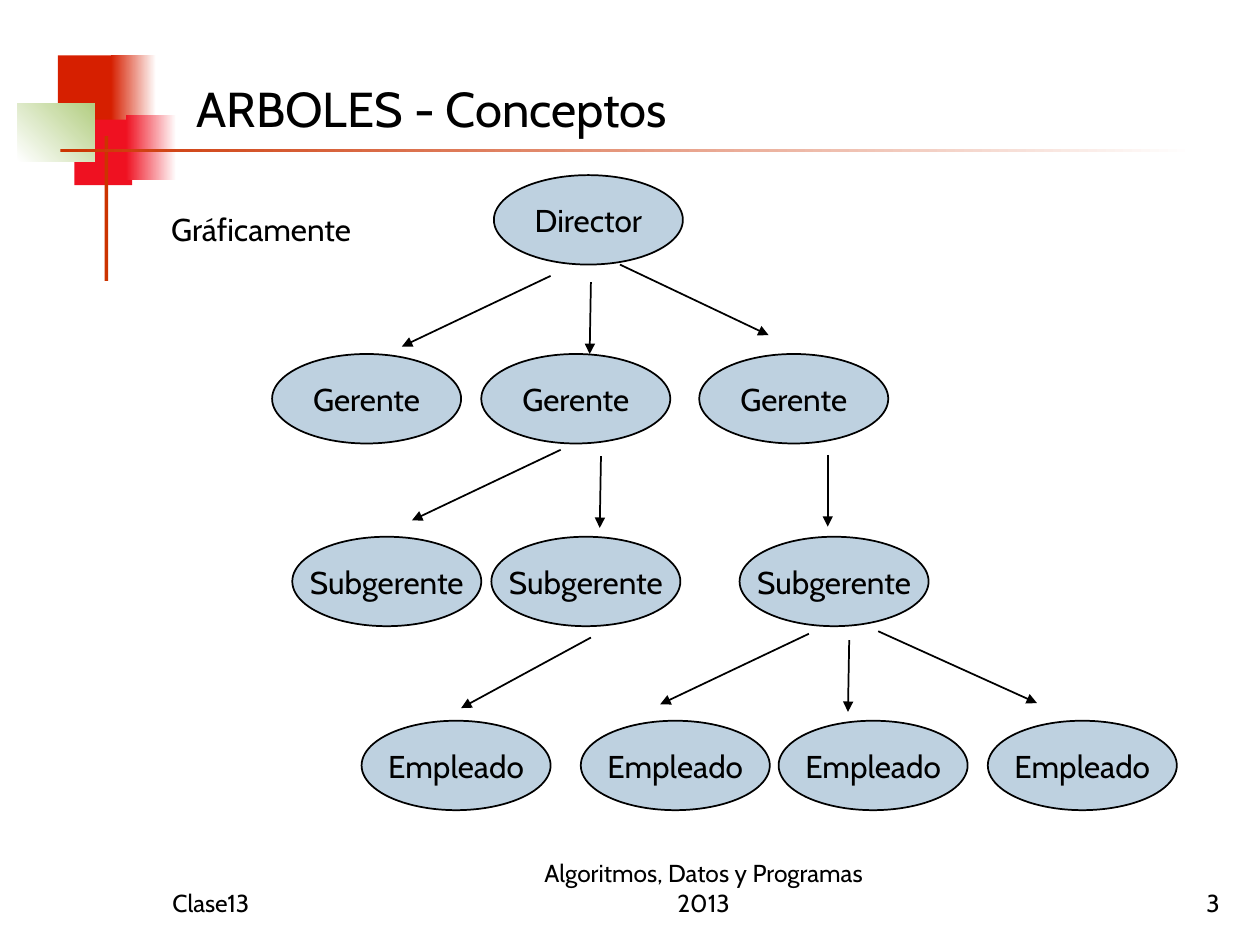
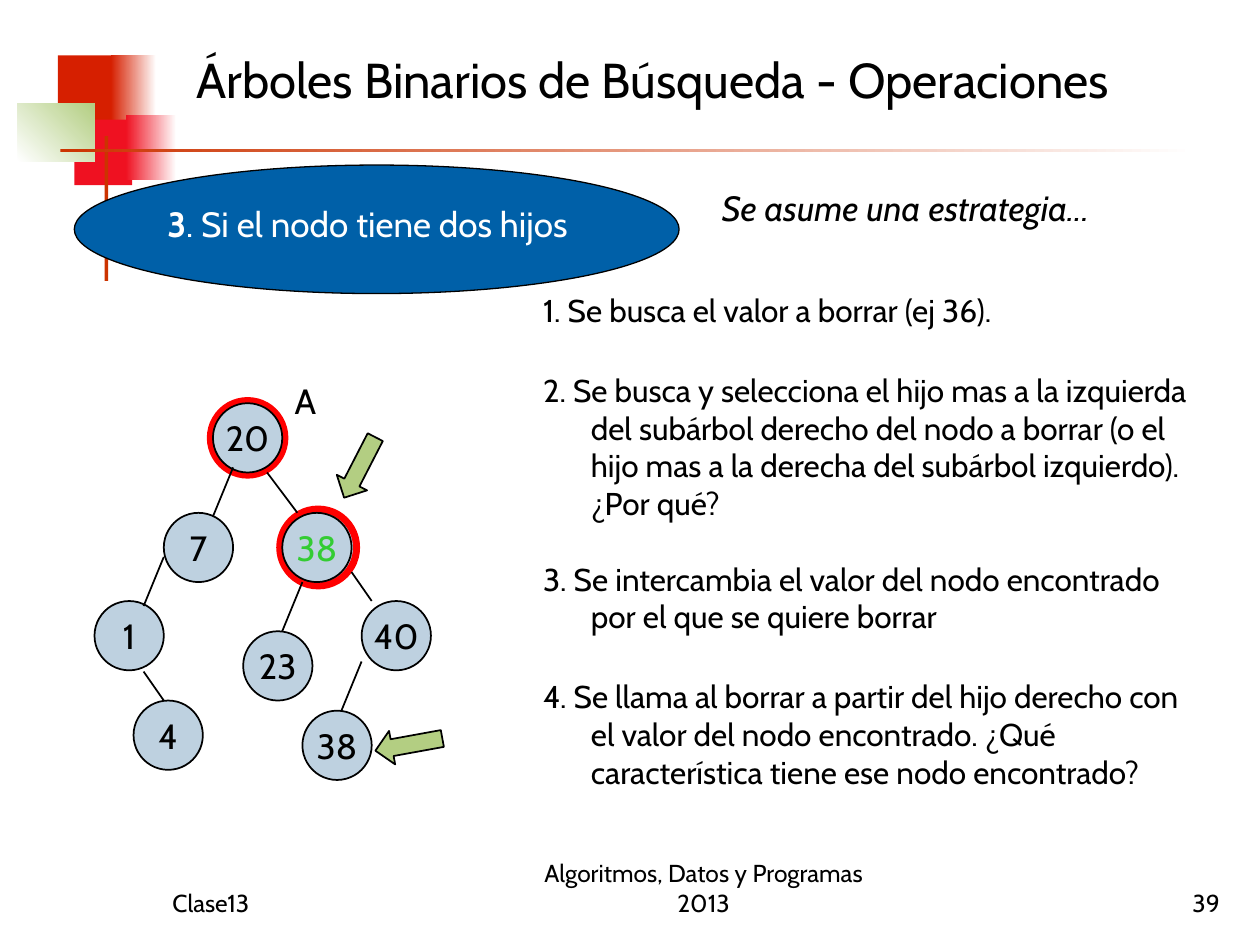
import pptx
import pptx.util
import pptx.dml.color
import pptx.enum.shapes
import pptx.enum.text
import pptx.oxml.ns
import lxml.etree

Inches = pptx.util.Inches
Pt = pptx.util.Pt
RGBColor = pptx.dml.color.RGBColor
SHAPE = pptx.enum.shapes.MSO_SHAPE
ALIGN = pptx.enum.text.PP_ALIGN
ANCHOR = pptx.enum.text.MSO_ANCHOR
qn = pptx.oxml.ns.qn

# Shared style
FONT = "Cabin"
BLACK = RGBColor(0x00, 0x00, 0x00)
WHITE = RGBColor(0xFF, 0xFF, 0xFF)
BRICK = RGBColor(0xD6, 0x1F, 0x00)
RED = RGBColor(0xEF, 0x11, 0x21)
RUST = RGBColor(0xCC, 0x33, 0x00)
RING = RGBColor(0xFF, 0x00, 0x00)
LEAF = RGBColor(0xB3, 0xCE, 0x82)
LIME = RGBColor(0x33, 0xCC, 0x33)
PALE = RGBColor(0xBE, 0xD1, 0xE0)
BLUE = RGBColor(0x00, 0x60, 0xA8)

# Corner blocks and rules: box, first colour, last colour, angle
DECOR = [
    ((0.46, 0.44, 0.48, 0.52), BRICK, None, 0),
    ((0.88, 0.44, 0.36, 0.52), BRICK, WHITE, 0),
    ((0.59, 0.95, 0.46, 0.52), RED, None, 0),
    ((1.0, 0.91, 0.4, 0.52), RED, WHITE, 0),
    ((0.14, 0.82, 0.61, 0.46), WHITE, LEAF, 45),
    ((0.83, 1.08, 0.03, 1.15), RUST, None, 0),
    ((0.48, 1.18, 9.0, 0.03), RUST, WHITE, 0),
]

# Company chart, relative to its box
OVAL = (1.5, 0.71)
LEVELS = [
    ("Director", 0, [1.76]),
    ("Gerente", 1.42, [0, 1.66, 3.39]),
    ("Subgerente", 2.87, [0.16, 1.74, 3.71]),
    ("Empleado", 4.33, [0.71, 2.45, 4.02, 5.68]),
]
LEFT, DOWN = (-1.18, 0.56), (-0.01, 0.57)
ARROWS = [
    (2.21, 0.8, LEFT), (2.53, 0.85, DOWN), (2.76, 0.71, (1.18, 0.56)),
    (2.29, 2.18, LEFT), (2.61, 2.23, DOWN), (4.41, 2.22, (0, 0.57)),
    (2.53, 3.67, (-1.03, 0.56)),
    (4.26, 3.64, LEFT), (4.58, 3.69, DOWN), (4.81, 3.62, (1.26, 0.57)),
]

# Search tree, relative to its box
DISC = 0.55
HALOS = [(0.94, 0.24, 0.55, 7), (1.47, 1.08, 0.61, 4)]
NODES = [
    ("20", 0.94, 0.24, BLACK), ("7", 0.55, 1.11, BLACK),
    ("38", 1.49, 1.11, LIME), ("1", 0, 1.81, BLACK),
    ("40", 2.12, 1.81, BLACK), ("23", 1.18, 2.05, BLACK),
    ("4", 0.31, 2.6, BLACK), ("38", 1.65, 2.68, BLACK),
]
WEST, EAST = (-0.16, 0.39), (0.16, 0.23)
LINKS = [
    (1.1, 0.75, WEST), (1.37, 0.79, (0.24, 0.32)), (0.55, 1.46, WEST),
    (0.39, 2.37, EAST), (1.65, 1.66, WEST), (2.04, 1.58, EAST),
    (2.12, 2.29, WEST),
]
HINTS = [(1.97, 0.48, 27.2), (2.36, 2.68, 79.7)]

# Steps: text and space before
STEPS = [
    ("1. Se busca el valor a borrar (ej 36).", 0),
    ("2. Se busca y selecciona el hijo mas a la izquierda del subárbol "
     "derecho del nodo a borrar (o el hijo mas a la derecha del subárbol "
     "izquierdo). ¿Por qué?", 24),
    ("3. Se intercambia el valor del nodo encontrado por el que se quiere "
     "borrar", 21.5),
    ("4. Se llama al borrar a partir del hijo derecho con el valor del nodo "
     "encontrado. ¿Qué característica tiene ese nodo encontrado?", 24),
]


def place(shape, box):
    shape.left, shape.top, shape.width, shape.height = map(Inches, box)


def write(par, text, size, color=BLACK, bold=False, slant=False):
    run = par.add_run()
    run.text = text
    font = run.font
    font.name, font.size = FONT, Pt(size)
    font.bold, font.italic = bold, slant
    font.color.rgb = color


def frame(shape, anchor, wrap=True):
    body = shape.text_frame
    body.auto_size = pptx.enum.text.MSO_AUTO_SIZE.NONE
    body.word_wrap = wrap
    body.vertical_anchor = anchor
    body.margin_left = body.margin_right = Inches(0.1)
    body.margin_top = body.margin_bottom = Inches(0.05)
    return body


def label(slide, box, text, size, align=ALIGN.LEFT, anchor=ANCHOR.TOP,
          slant=False):
    shape = slide.shapes.add_textbox(*map(Inches, box))
    par = frame(shape, anchor).paragraphs[0]
    par.alignment = align
    write(par, text, size, slant=slant)


def draw(slide, kind, box, fill, edge=None, width=1):
    shape = slide.shapes.add_shape(kind, *map(Inches, box))
    shape.shadow.inherit = False
    shape.fill.solid()
    shape.fill.fore_color.rgb = fill
    if edge is None:
        shape.line.fill.background()
    else:
        shape.line.color.rgb = edge
        shape.line.width = Pt(width)
    return shape


def node(slide, box, text, size, color=BLACK):
    shape = draw(slide, SHAPE.OVAL, box, PALE, BLACK)
    par = frame(shape, ANCHOR.MIDDLE, wrap=False).paragraphs[0]
    par.alignment = ALIGN.CENTER
    write(par, text, size, color)


def link(slide, x, y, step, head=False):
    ends = (x, y, x + step[0], y + step[1])
    line = slide.shapes.add_connector(
        pptx.enum.shapes.MSO_CONNECTOR.STRAIGHT, *map(Inches, ends))
    line.line.color.rgb = BLACK
    line.line.width = Pt(1)
    if head:
        lxml.etree.SubElement(line.line._get_or_add_ln(), qn("a:tailEnd"),
                              type="triangle")
    lxml.etree.SubElement(line._element.spPr, qn("a:effectLst"))


def decor(slide):
    for box, first, last, angle in DECOR:
        shape = draw(slide, SHAPE.RECTANGLE, box, first)
        if last is not None:
            shape.fill.gradient()
            shape.fill.gradient_angle = angle
            for stop, color in zip(shape.fill.gradient_stops, (first, last)):
                stop.color.rgb = color


def footer(slide, number):
    for x, width, text, align in [
            (1.27, 2.08, "Clase13", ALIGN.LEFT),
            (4.0, 3.17, "Algoritmos, Datos y Programas 2013", ALIGN.CENTER),
            (7.7, 2.08, number, ALIGN.RIGHT)]:
        label(slide, (x, 6.83, width, 0.5), text, 14, align, ANCHOR.BOTTOM)


def start(deck, layout, title, box, number):
    slide = deck.slides.add_slide(deck.slide_layouts[layout])
    decor(slide)
    place(slide.shapes.title, box)
    par = frame(slide.shapes.title, ANCHOR.MIDDLE).paragraphs[0]
    par.alignment = ALIGN.LEFT
    write(par, title, 28)
    footer(slide, number)
    return slide


def chart(slide, left, top):
    for name, y, row in LEVELS:
        for x in row:
            node(slide, (left + x, top + y, *OVAL), name, 18)
    for x, y, step in ARROWS:
        link(slide, left + x, top + y, step, head=True)


def tree(slide, left, top):
    for x, y, side, width in HALOS:
        draw(slide, SHAPE.OVAL, (left + x, top + y, side, side),
             PALE, RING, width)
    for text, x, y, color in NODES:
        node(slide, (left + x, top + y, DISC, DISC), text, 20, color)
    for x, y, step in LINKS:
        link(slide, left + x, top + y, step)
    for x, y, turn in HINTS:
        hint = draw(slide, SHAPE.DOWN_ARROW,
                    (left + x, top + y, 0.27, 0.54), LEAF, BLACK)
        hint.rotation = turn
    label(slide, (left + 1.49, top, 0.39, 0.44), "A", 20)


def banner(slide, left, top):
    draw(slide, SHAPE.OVAL, (left, top, 4.8, 1.02), BLUE, BLACK, 0.75)
    shape = slide.shapes.add_textbox(
        *map(Inches, (left + 0.64, top + 0.25, 4, 0.44)))
    par = frame(shape, ANCHOR.TOP).paragraphs[0]
    write(par, "3", 20, WHITE, bold=True)
    write(par, ". Si el nodo tiene dos hijos", 20, WHITE)


def steps(slide, box):
    shape = slide.placeholders[1]
    place(shape, box)
    body = frame(shape, ANCHOR.TOP)
    for i, (text, space) in enumerate(STEPS):
        par = body.add_paragraph() if i else body.paragraphs[0]
        props = par._p.get_or_add_pPr()
        props.set("marL", str(Inches(0.38)))
        props.set("indent", str(-Inches(0.38)))
        lxml.etree.SubElement(props, qn("a:buNone"))
        par.space_before = Pt(space)
        write(par, text, 18)


def main():
    deck = pptx.Presentation()
    deck.slide_width, deck.slide_height = Inches(10), Inches(7.5)

    # Concepts
    slide = start(deck, 5, "ARBOLES - Conceptos", (1.46, 0.36, 7.53, 1), "3")
    label(slide, (1.26, 1.62, 2.24, 0.55), "Gráficamente", 18)
    chart(slide, 2.16, 1.39)

    # Removal with two children
    slide = start(deck, 1, "Árboles Binarios de Búsqueda - Operaciones",
                  (1.46, 0.13, 8.11, 1), "39")
    tree(slide, 0.75, 2.96)
    steps(slide, (4.21, 2.26, 5.44, 4.24))
    banner(slide, 0.59, 1.31)
    label(slide, (5.63, 1.43, 3.62, 0.44), "Se asume una estrategia...", 20,
          slant=True)

    deck.save("out.pptx")


if __name__ == "__main__":
    main()
